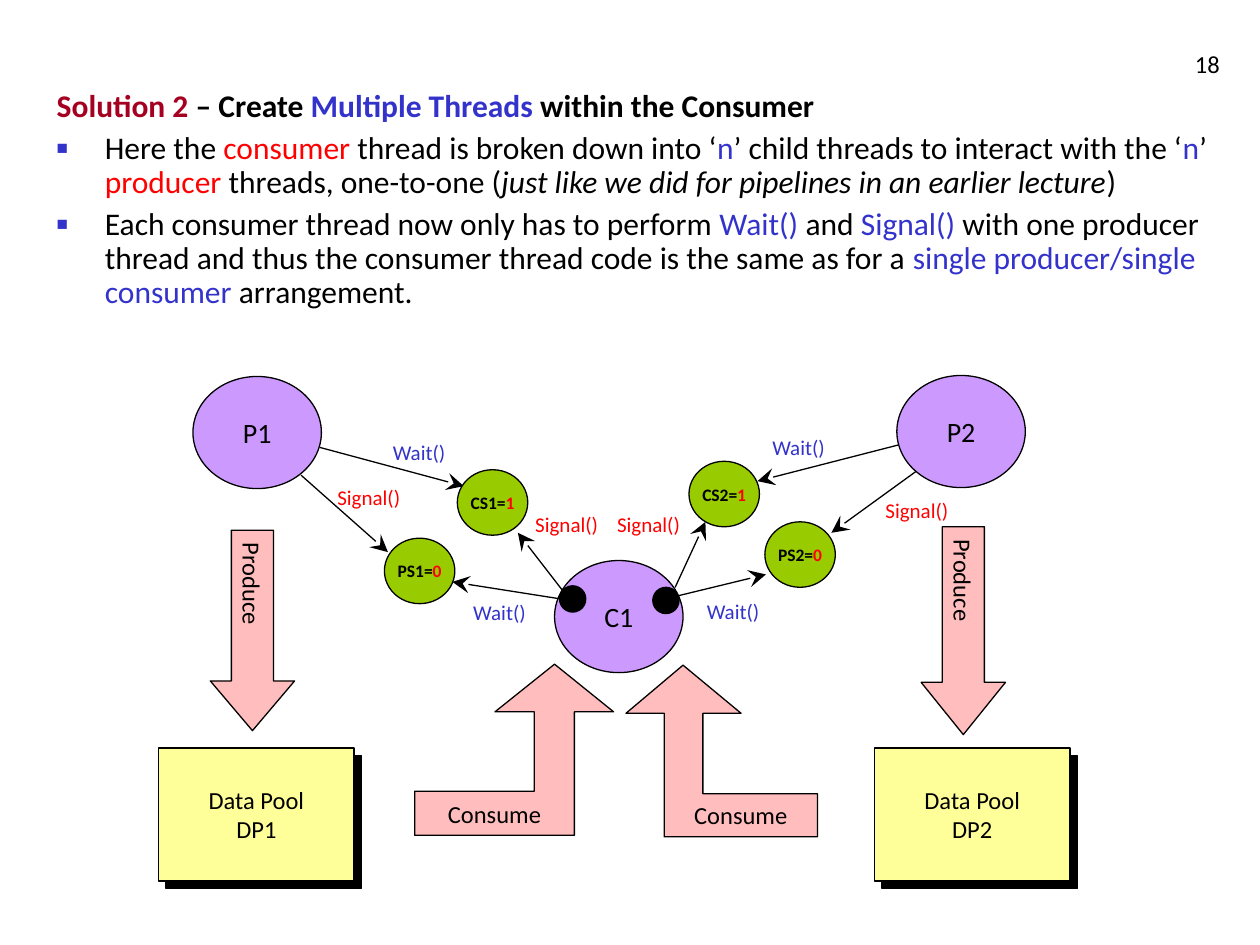
from dataclasses import dataclass

from lxml import etree
from pptx import Presentation
from pptx import util as u
from pptx.dml.color import RGBColor
from pptx.enum import shapes, text
from pptx.oxml.ns import qn


@dataclass(frozen=True)
class Theme:
    font: str = "Calibri"
    black: str = "000000"
    red: str = "FF0000"
    crimson: str = "A50021"
    blue: str = "3333CC"
    thread: str = "CC99FF"
    semaphore: str = "99CC00"
    flow: str = "FFBDBD"
    pool: str = "FFFF99"
    body_size: int = 18
    thread_size: int = 16
    flow_size: int = 14
    label_size: int = 12
    semaphore_size: int = 10
    line_width: float = 0.75


theme = Theme()
Cm = u.Cm


def add_runs(para, runs, size, bold=False, align=None):
    """Add (words, colour[, italic]) runs to a paragraph."""
    para.alignment = align
    for words, color, *italic in runs:
        span = para.add_run()
        span.text = words
        span.font.name = theme.font
        span.font.size = u.Pt(size)
        span.font.bold = bold
        span.font.italic = bool(italic)
        span.font.color.rgb = RGBColor.from_string(color)


def paint(shape, fill, runs=(), size=theme.flow_size, bold=False):
    """Give a shape its fill, outline and centred, unwrapped text."""
    shape.shadow.inherit = False
    shape.fill.solid()
    shape.fill.fore_color.rgb = RGBColor.from_string(fill)
    shape.line.color.rgb = RGBColor.from_string(theme.black)
    shape.line.width = u.Pt(theme.line_width)
    frame = shape.text_frame
    frame.word_wrap = False
    frame.vertical_anchor = text.MSO_ANCHOR.MIDDLE
    add_runs(frame.paragraphs[0], runs, size, bold, text.PP_ALIGN.CENTER)


deck = Presentation()
deck.slide_width, deck.slide_height = Cm(25.4), Cm(19.05)
page = deck.slides.add_slide(deck.slide_layouts[1])
page.shapes.title.element.getparent().remove(page.shapes.title.element)

# Slide number
box = page.shapes.add_textbox(Cm(19.56), Cm(0.43), Cm(5.28), Cm(1.27))
box.text_frame.word_wrap = True
box.text_frame.vertical_anchor = text.MSO_ANCHOR.BOTTOM
add_runs(box.text_frame.paragraphs[0], [("18", theme.black)],
         theme.flow_size, align=text.PP_ALIGN.RIGHT)

# Heading and bullets
body = page.placeholders[1]
body.left, body.top, body.width, body.height = Cm(0.89), Cm(1.7), Cm(24.13), Cm(7.44)
body.text_frame.auto_size = text.MSO_AUTO_SIZE.NONE
body.text_frame.vertical_anchor = text.MSO_ANCHOR.TOP
paragraphs = [
    [("Solution 2", theme.crimson), (" – Create ", theme.black),
     ("Multiple Threads", theme.blue), (" within the Consumer", theme.black)],
    [("Here the ", theme.black), ("consumer", theme.red),
     (" thread is broken down into ‘", theme.black), ("n", theme.blue),
     ("’ child threads to interact with the ‘", theme.black), ("n", theme.blue),
     ("’ ", theme.black), ("producer", theme.red),
     (" threads, one-to-one (", theme.black),
     ("just like we did for pipelines in an earlier lecture", theme.black, True),
     (")", theme.black)],
    [("Each consumer thread now only has to perform ", theme.black),
     ("Wait()", theme.blue), (" and ", theme.black), ("Signal()", theme.blue),
     (" with one producer thread and thus the consumer thread code is the same as for a ",
      theme.black),
     ("single producer/single consumer", theme.blue), (" arrangement.", theme.black)],
]
for index, runs in enumerate(paragraphs):
    is_heading = index == 0
    para = body.text_frame.paragraphs[0] if is_heading else body.text_frame.add_paragraph()
    props = para._p.get_or_add_pPr()
    props.set("marL", str(Cm(0.97)))
    props.set("indent", str(-Cm(0.97)))
    if is_heading:
        etree.SubElement(props, qn("a:buNone"))
    else:
        color = etree.SubElement(props, qn("a:buClr"))
        etree.SubElement(color, qn("a:srgbClr"), val=theme.blue)
        etree.SubElement(props, qn("a:buSzPct"), val="60000")
        etree.SubElement(props, qn("a:buFont"), typeface="Arial")
        etree.SubElement(props, qn("a:buChar"), char="■")
    para.line_spacing = 0.9
    para.space_before = u.Pt(0 if is_heading else 4.5)
    add_runs(para, runs, theme.body_size, bold=is_heading)

# Data pools, each with a solid drop shadow
for name, left in (("DP1", 3.2), ("DP2", 17.63)):
    group = page.shapes.add_group_shape()
    for offset, fill in ((0.15, theme.black), (0, theme.pool)):
        pool = group.shapes.add_shape(shapes.MSO_SHAPE.RECTANGLE, Cm(left + offset),
                                      Cm(15.08 + offset), Cm(3.94), Cm(2.68))
        paint(pool, fill)
    para = pool.text_frame.paragraphs[0]
    add_runs(para, [("Data Pool", theme.black)], theme.flow_size,
             align=text.PP_ALIGN.CENTER)
    para.add_line_break()
    add_runs(para, [(name, theme.black)], theme.flow_size, align=text.PP_ALIGN.CENTER)

# Producer and consumer threads
for name, left, top in (("P1", 3.89, 7.59), ("P2", 18.08, 7.57), ("C1", 11.18, 11.3)):
    thread = page.shapes.add_shape(shapes.MSO_SHAPE.OVAL, Cm(left), Cm(top),
                                   Cm(2.59), Cm(2.26))
    paint(thread, theme.thread, [(name, theme.black)], theme.thread_size)

# Produce arrows
for left, top, height, head in ((4.24, 10.69, 4.04, 0.59), (18.57, 10.62, 4.19, 0.62)):
    arrow = page.shapes.add_shape(shapes.MSO_SHAPE.DOWN_ARROW, Cm(left), Cm(top),
                                  Cm(1.7), Cm(height))
    arrow.adjustments[1] = head
    paint(arrow, theme.flow, [("Produce", theme.black)])
    arrow.text_frame._txBody.bodyPr.set("vert", "eaVert")

# Consume arrows: outline points, then the insets that centre the text in the arm
consume_arrows = [
    ([(11.18, 13.39), (9.98, 14.35), (10.77, 14.35), (10.77, 15.95), (8.36, 15.95),
      (8.36, 16.84), (11.58, 16.84), (11.58, 14.35), (12.37, 14.35)], 0, 0.79),
    ([(13.77, 13.41), (14.94, 14.38), (14.17, 14.38), (14.17, 16), (16.48, 16),
      (16.48, 16.87), (13.39, 16.87), (13.39, 14.38), (12.62, 14.38)], 0.77, 0),
]
for points, inset_left, inset_right in consume_arrows:
    corners = [(Cm(x), Cm(y)) for x, y in points]
    outline = page.shapes.build_freeform(*corners[0])
    outline.add_line_segments(corners[1:], close=True)
    arrow = outline.convert_to_shape()
    paint(arrow, theme.flow, [("Consume", theme.black)])
    frame = arrow.text_frame
    frame.margin_left, frame.margin_right = Cm(inset_left), Cm(inset_right)
    frame.margin_top, frame.margin_bottom = Cm(2.58), Cm(0)

# Calls from threads to semaphores
calls = [
    (6.45, 9.02, 9.35, 9.8), (6.07, 9.58, 7.82, 11.13),
    (11.28, 12.07, 9.12, 11.73), (11.33, 11.89, 10.44, 10.74),
    (18.11, 8.97, 15.27, 9.7), (18.47, 9.5, 16.76, 10.74),
    (13.61, 11.84, 14.22, 10.52), (13.67, 12.01, 15.44, 11.58),
]
for ends in calls:
    call = page.shapes.add_connector(shapes.MSO_CONNECTOR.STRAIGHT, *map(Cm, ends))
    call.line.color.rgb = RGBColor.from_string(theme.black)
    call.line.width = u.Pt(theme.line_width)
    etree.SubElement(call.line._get_or_add_ln(), qn("a:tailEnd"),
                     type="stealth", w="lg", len="lg")
    etree.SubElement(call._element.spPr, qn("a:effectLst"))

# Call labels
call_colors = {"Wait()": theme.blue, "Signal()": theme.red}
labels = [
    ("Wait()", 7.67, 8.74, 2.69), ("Signal()", 6.55, 9.65, 2.87),
    ("Wait()", 9.07, 11.96, 1.78), ("Signal()", 10.54, 10.19, 2.21),
    ("Wait()", 15.32, 8.64, 2.69), ("Signal()", 17.6, 9.91, 2.87),
    ("Wait()", 14, 11.94, 2.13), ("Signal()", 12.19, 10.19, 2.87),
]
for name, left, top, width in labels:
    box = page.shapes.add_textbox(Cm(left), Cm(top), Cm(width), Cm(0.76))
    box.text_frame.word_wrap = True
    align = text.PP_ALIGN.RIGHT if width == 1.78 else text.PP_ALIGN.LEFT
    add_runs(box.text_frame.paragraphs[0], [(name, call_colors[name])],
             theme.label_size, align=align)

# Semaphores with their initial values
for name, value, left, top in (("PS1=", "0", 7.75, 10.85), ("CS1=", "1", 9.22, 9.47),
                               ("PS2=", "0", 15.42, 10.52), ("CS2=", "1", 13.89, 9.3)):
    semaphore = page.shapes.add_shape(shapes.MSO_SHAPE.OVAL, Cm(left), Cm(top),
                                      Cm(1.42), Cm(1.32))
    paint(semaphore, theme.semaphore, [(name, theme.black), (value, theme.red)],
          theme.semaphore_size, bold=True)

# Child threads inside the consumer
for left, top in ((11.28, 11.81), (13.16, 11.84)):
    child = page.shapes.add_shape(shapes.MSO_SHAPE.OVAL, Cm(left), Cm(top),
                                  Cm(0.53), Cm(0.53))
    paint(child, theme.black)

deck.save("out.pptx")
